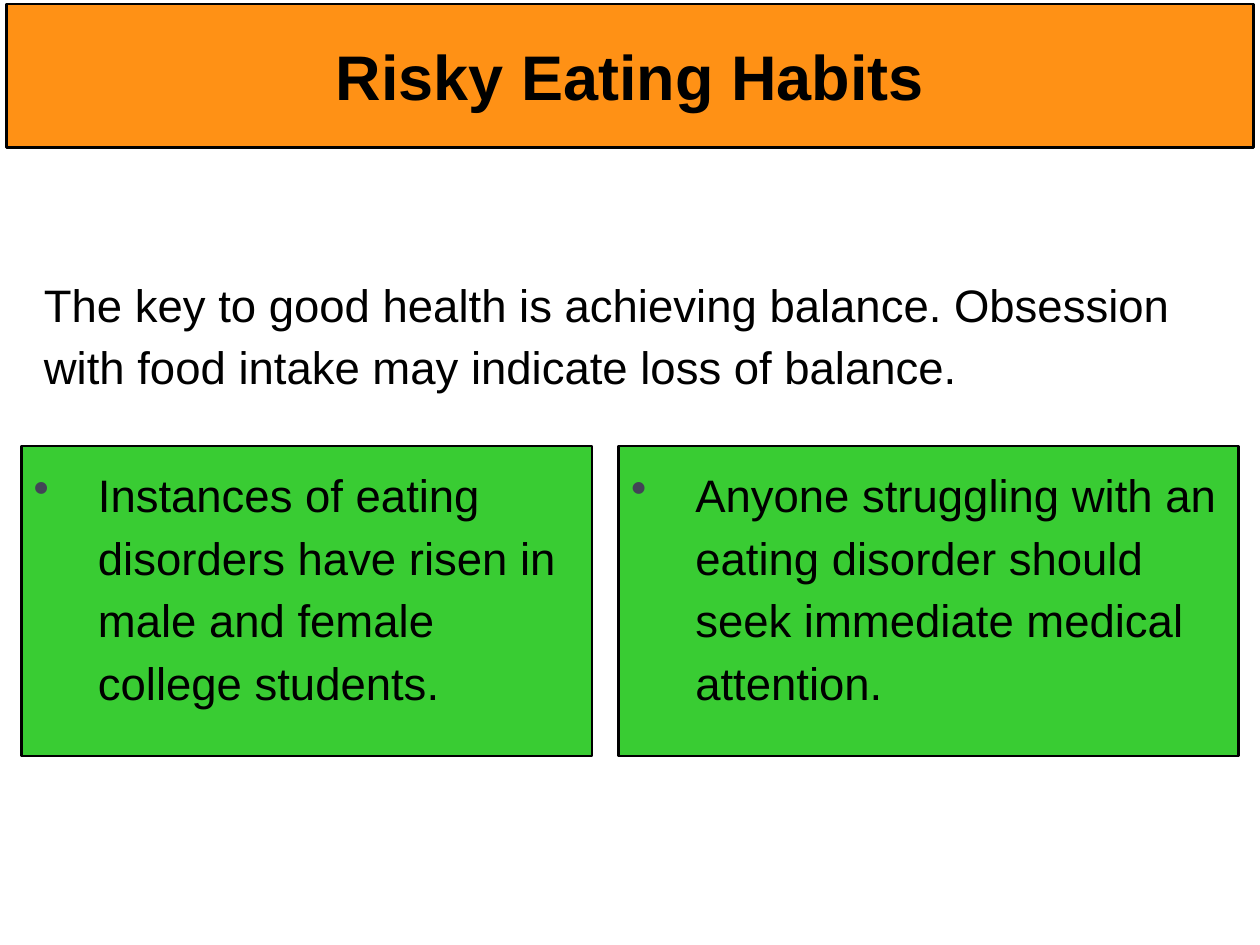
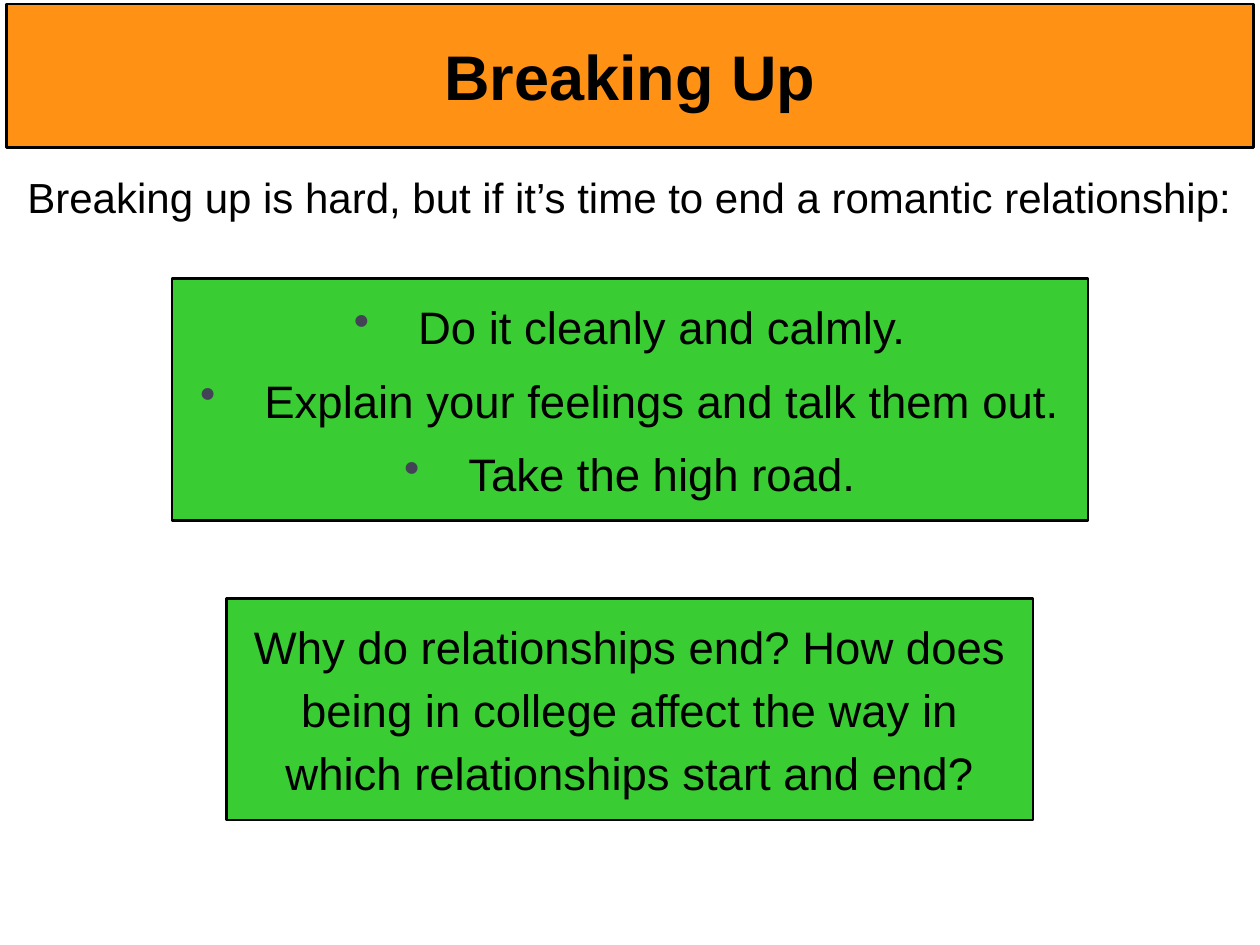
from lxml import etree
from pptx import Presentation
from pptx.dml.color import RGBColor
from pptx.enum import shapes, text
from pptx.oxml import ns
from pptx.util import Pt

FONT = "Arial"
BLACK, ORANGE, GREEN, BULLET_GREY = "000000", "FF9115", "39CC33", "424456"
SLIDE_WIDTH, SLIDE_HEIGHT = 720, 540
HANGING_INDENT = 36.7
CENTER = text.PP_ALIGN.CENTER


def color(hex_value):
    return RGBColor.from_string(hex_value)


def add_bullet(paragraph):
    properties = paragraph._p.get_or_add_pPr()
    properties.set("marL", str(Pt(HANGING_INDENT)))
    properties.set("indent", str(-Pt(HANGING_INDENT)))
    bullet_color = etree.SubElement(properties, ns.qn("a:buClr"))
    etree.SubElement(bullet_color, ns.qn("a:srgbClr")).set("val", BULLET_GREY)
    etree.SubElement(properties, ns.qn("a:buChar")).set("char", "•")


def write(frame, lines, size, bold=False, align=text.PP_ALIGN.LEFT,
          bulleted=False, spacing=1.15, inset=3.6):
    """Fill a text frame with one uniformly styled paragraph per line."""
    frame.word_wrap = True
    frame.margin_left = frame.margin_right = Pt(7.2)
    frame.margin_top = frame.margin_bottom = Pt(inset)
    frame.text = "\n".join(lines)
    for index, paragraph in enumerate(frame.paragraphs):
        if bulleted:
            add_bullet(paragraph)
        paragraph.alignment = align
        paragraph.line_spacing = spacing
        paragraph.space_before = Pt(6.2 if index else 0)
        for run in paragraph.runs:
            run.font.name = FONT
            run.font.size = Pt(size)
            run.font.bold = bold
            run.font.color.rgb = color(BLACK)


def add_panel(slide, left, top, width, height, fill):
    panel = slide.shapes.add_shape(shapes.MSO_SHAPE.RECTANGLE, Pt(left),
                                   Pt(top), Pt(width), Pt(height))
    panel.shadow.inherit = False
    panel.fill.solid()
    panel.fill.fore_color.rgb = color(fill)
    panel.line.color.rgb = color(BLACK)
    panel.line.width = Pt(1.5)
    return panel.text_frame


def add_title(slide, title):
    frame = add_panel(slide, 3.6, 2.2, SLIDE_WIDTH - 2 * 3.6, 82, ORANGE)
    frame.vertical_anchor = text.MSO_ANCHOR.MIDDLE
    write(frame, [title], 36, bold=True, align=CENTER, spacing=1.0)


def add_intro(slide, left, top, width, height, sentence, size):
    intro = slide.shapes.add_textbox(Pt(left), Pt(top), Pt(width), Pt(height))
    write(intro.text_frame, [sentence], size)


def add_green_box(slide, left, top, width, height, lines, **style):
    frame = add_panel(slide, left, top, width, height, GREEN)
    frame.vertical_anchor = text.MSO_ANCHOR.TOP
    write(frame, lines, 26, inset=7.2, **style)


def add_centered_box(slide, top, width, height, lines, **style):
    add_green_box(slide, (SLIDE_WIDTH - width) / 2, top, width, height, lines,
                  align=CENTER, **style)


def build_eating_habits(slide):
    add_title(slide, "Risky Eating Habits")
    add_intro(slide, 18, 149.8, 689.8, 82,
              "The key to good health is achieving balance. Obsession with "
              "food intake may indicate loss of balance.", 26)
    facts = [
        (12.2, 326.2, "Instances of eating disorders have risen in male and "
                      "female college students."),
        (353.5, 354.2, "Anyone struggling with an eating disorder should seek "
                       "immediate medical attention."),
    ]
    for left, width, fact in facts:
        add_green_box(slide, left, 254.9, width, 177.1, [fact], bulleted=True)


def build_breaking_up(slide):
    add_title(slide, "Breaking Up")
    add_intro(slide, 8.6, 90, 707.8, 40.3,
              "Breaking up is hard, but if it’s time to end a romantic "
              "relationship:", 24)
    add_centered_box(slide, 159.1, 523.4, 138.2,
                     ["Do it cleanly and calmly.",
                      "Explain your feelings and talk them out.",
                      "Take the high road."], bulleted=True)
    add_centered_box(slide, 342, 460.8, 126.7,
                     ["Why do relationships end? How does being in college "
                      "affect the way in which relationships start and end?"])


def main():
    deck = Presentation()
    deck.slide_width, deck.slide_height = Pt(SLIDE_WIDTH), Pt(SLIDE_HEIGHT)
    for build in (build_eating_habits, build_breaking_up):
        build(deck.slides.add_slide(deck.slide_layouts[6]))
    deck.save("out.pptx")


if __name__ == "__main__":
    main()
